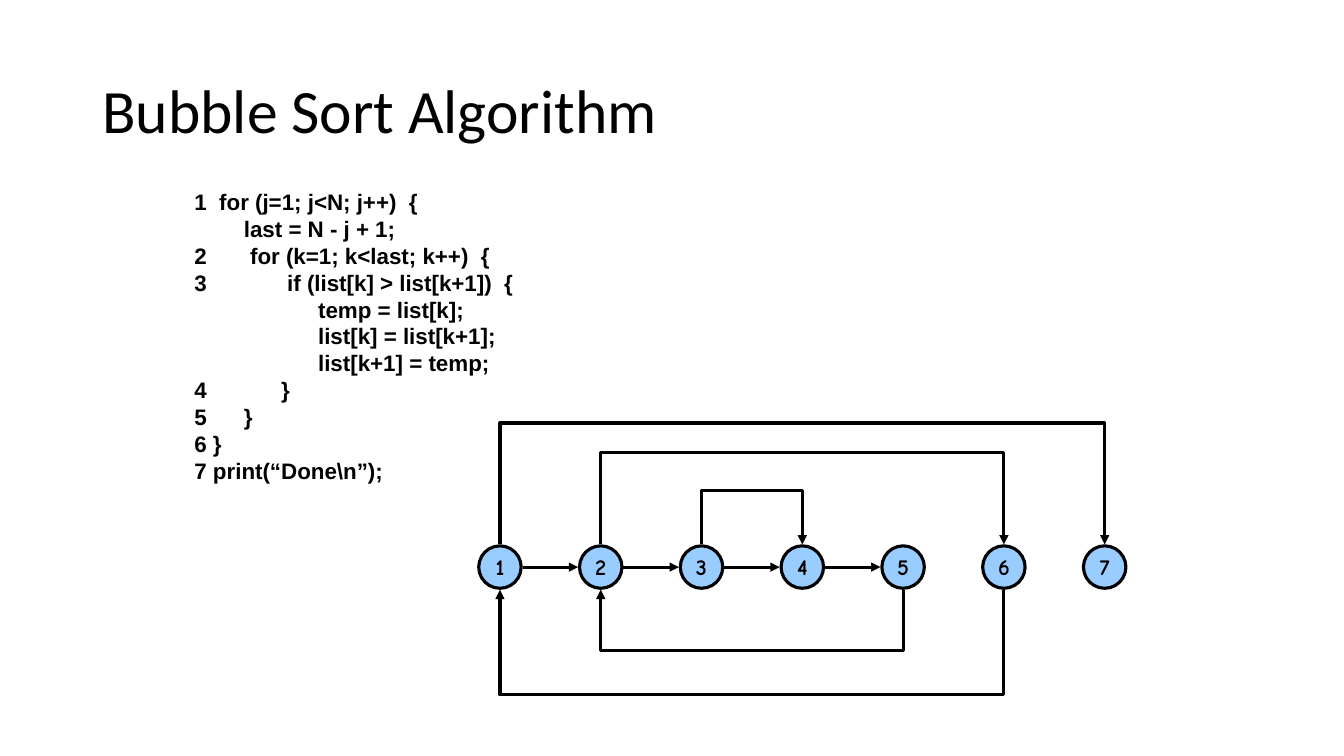
from lxml import etree
from pptx import Presentation
from pptx.dml.color import RGBColor
from pptx.enum.shapes import MSO_CONNECTOR, MSO_SHAPE
from pptx.enum.text import MSO_ANCHOR, PP_ALIGN
from pptx.oxml.ns import qn
from pptx.util import Cm, Pt

LEFT, CENTER = PP_ALIGN.LEFT, PP_ALIGN.CENTER
TOP, MIDDLE = MSO_ANCHOR.TOP, MSO_ANCHOR.MIDDLE
OVAL, STRAIGHT = MSO_SHAPE.OVAL, MSO_CONNECTOR.STRAIGHT
BLACK = RGBColor(0x00, 0x00, 0x00)
BLUE = RGBColor(0x99, 0xCC, 0xFF)

HEAD = dict(name="Calibri", size=Pt(44), bold=False)
CODE = dict(name="Arial", size=Pt(16), bold=True)
LABEL = dict(name="Comic Neue", size=Pt(16), bold=True)

LINES = """1  for (j=1; j<N; j++)  {
        last = N - j + 1;
2       for (k=1; k<last; k++)  {
3             if (list[k] > list[k+1])  {
                    temp = list[k];
                    list[k] = list[k+1];
                    list[k+1] = temp;
4            }
5      }
6 }
7 print(“Done\\n”);"""

# Node row, in cm
FIRST, PITCH, MID, SIZE, GAP = 12.6, 2.54, 14.29, 1.07, 0.57
# Jumps: from node, to node, height of the level run
JUMPS = [(3, 4, 12.37), (2, 6, 11.41), (1, 7, 10.66),
         (5, 2, 16.4), (6, 1, 17.51)]


def spot(node):
    """Return the centre of a node across the slide."""
    return FIRST + (node - 1) * PITCH


class Sheet:
    """Holds the style and the current slide."""

    def __init__(self, deck):
        self.slide = deck.slides.add_slide(deck.slide_layouts[5])
        self.shapes = self.slide.shapes

    def label(self, shape, text, look, align, anchor, wrap):
        frame = shape.text_frame
        frame.text = text
        frame.word_wrap = wrap
        frame.vertical_anchor = anchor
        for para in frame.paragraphs:
            para.alignment = align
            for key, value in look.items():
                setattr(para.font, key, value)
            para.font.color.rgb = BLACK

    def title(self, text, box):
        shape = self.shapes.title
        shape.left, shape.top, shape.width, shape.height = map(Cm, box)
        self.label(shape, text, HEAD, LEFT, MIDDLE, True)
        shape.text_frame.paragraphs[0].line_spacing = 0.9

    def code(self, text, box):
        shape = self.shapes.add_textbox(*map(Cm, box))
        self.label(shape, text, CODE, LEFT, TOP, False)

    def stroke(self, shape):
        shape.line.color.rgb = BLACK
        shape.line.width = Pt(2.25)

    def tip(self, shape):
        """Draw the line of a shape with an arrowhead at its end."""
        self.stroke(shape)
        line = shape._element.spPr.find(qn("a:ln"))
        etree.SubElement(line, qn("a:tailEnd"), type="triangle")

    def node(self, num):
        shape = self.shapes.add_shape(
            OVAL, Cm(spot(num) - SIZE / 2), Cm(MID - SIZE / 2), Cm(SIZE), Cm(SIZE))
        shape.shadow.inherit = False
        shape.fill.solid()
        shape.fill.fore_color.rgb = BLUE
        self.stroke(shape)
        self.label(shape, str(num), LABEL, CENTER, MIDDLE, False)

    def step(self, num):
        """Join a node to the next one."""
        line = self.shapes.add_connector(
            STRAIGHT, Cm(spot(num) + GAP), Cm(MID),
            Cm(spot(num + 1) - GAP), Cm(MID))
        self.tip(line)
        etree.SubElement(line._element.spPr, qn("a:effectLst"))

    def jump(self, start, end, level):
        """Join two nodes by a square line over or under the row."""
        edge = MID + (GAP if level > MID else -GAP)
        near, far = spot(start), spot(end)
        pen = self.shapes.build_freeform(Cm(near), Cm(edge))
        pen.add_line_segments(
            [(Cm(near), Cm(level)), (Cm(far), Cm(level)), (Cm(far), Cm(edge))],
            close=False)
        shape = pen.convert_to_shape()
        shape.shadow.inherit = False
        shape.fill.background()
        self.tip(shape)


def main():
    deck = Presentation()
    deck.slide_width, deck.slide_height = Cm(33.87), Cm(19.05)
    sheet = Sheet(deck)
    sheet.title("Bubble Sort Algorithm", (2.33, 1.01, 29.21, 3.68))
    for num in range(1, 8):
        sheet.node(num)
    for num in range(1, 5):
        sheet.step(num)
    for jump in JUMPS:
        sheet.jump(*jump)
    sheet.code(LINES, (4.65, 4.62, 8.71, 7.8))
    deck.save("out.pptx")


if __name__ == "__main__":
    main()
